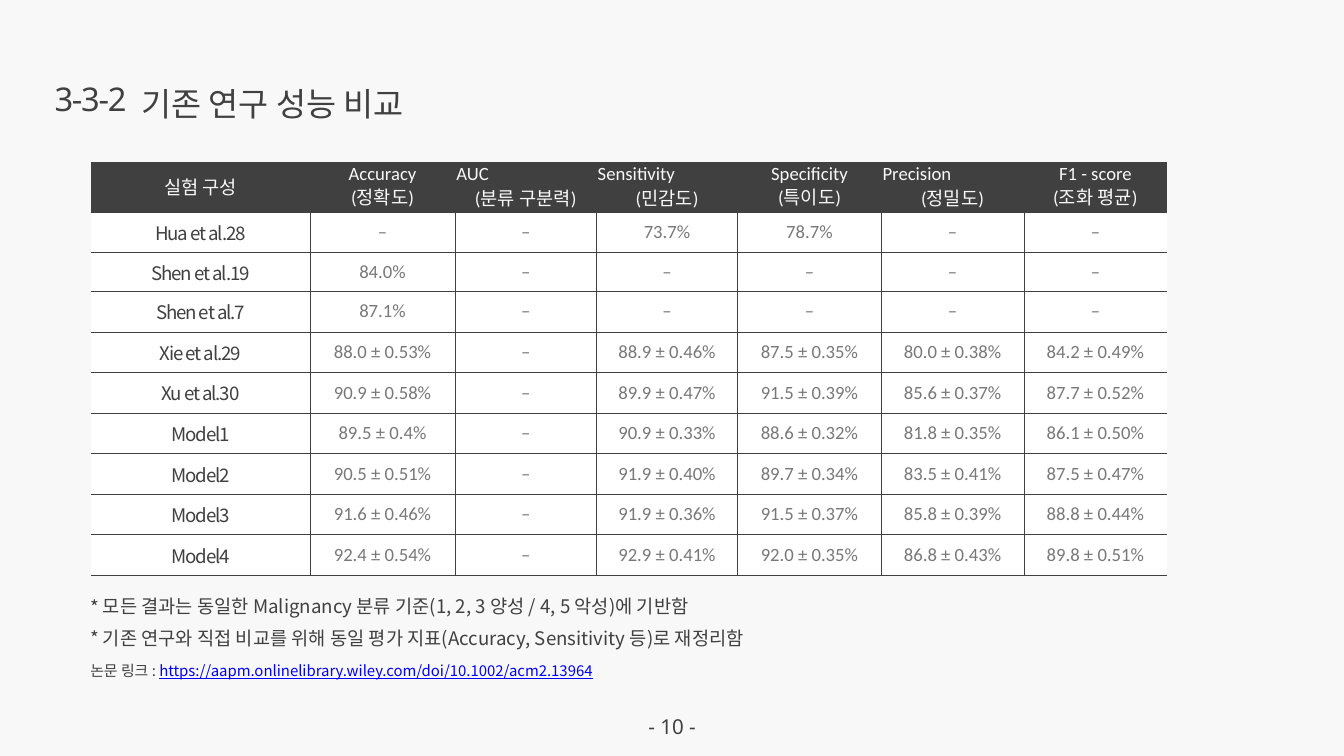
import pptx
import pptx.util
import pptx.dml.color
import pptx.enum.text
import pptx.oxml.ns
from lxml import etree

PX = 9525  # EMU per px, 96 px to the inch
INK = pptx.dml.color.RGBColor(0x40, 0x40, 0x40)
GREY = pptx.dml.color.RGBColor(0x78, 0x78, 0x78)
PAPER = pptx.dml.color.RGBColor(0xF8, 0xF8, 0xF8)
WHITE = pptx.dml.color.RGBColor(0xFF, 0xFF, 0xFF)
BLUE = pptx.dml.color.RGBColor(0x00, 0x00, 0xFF)
KOREAN, SANS, CALIBRI = "Noto Sans CJK KR", "Noto Sans", "Calibri"
LEFT = pptx.enum.text.PP_ALIGN.LEFT
CENTER = pptx.enum.text.PP_ALIGN.CENTER
MIDDLE = pptx.enum.text.MSO_ANCHOR.MIDDLE
TOP = pptx.enum.text.MSO_ANCHOR.TOP
qn = pptx.oxml.ns.qn


def write(p, text, size=20, font=KOREAN, color=INK, align=LEFT, line=1.0,
          spacing=0, underline=None):
    p.alignment, p.line_spacing = align, line
    p.space_before = pptx.util.Pt(0)
    r = p.add_run()
    r.text = text
    r.font.size = pptx.util.Pt(size)
    r.font.name = font
    r.font.color.rgb = color
    r.font.underline = underline
    rPr = r.font._element
    rPr.set("spc", str(round(spacing * 100)))
    etree.SubElement(rPr, qn("a:ea"), typeface=KOREAN)


def place(sp, x, y, w, h, anchor=MIDDLE):
    sp.left, sp.top, sp.width, sp.height = x * PX, y * PX, w * PX, h * PX
    tf = sp.text_frame
    tf.word_wrap = True
    tf.auto_size = pptx.enum.text.MSO_AUTO_SIZE.NONE
    tf.vertical_anchor = anchor
    tf.margin_left = tf.margin_right = tf.margin_top = tf.margin_bottom = 0
    return tf


prs = pptx.Presentation()
prs.slide_width, prs.slide_height = 1920 * PX, 1080 * PX
s = prs.slides.add_slide(prs.slide_layouts[1])
s.background.fill.solid()
s.background.fill.fore_color.rgb = PAPER

# Title and section number
tf = place(s.shapes.title, 202, 112, 1077, 72)
write(tf.paragraphs[0], "기존 연구 성능 비교", size=35)
tf = place(s.shapes.add_textbox(0, 0, 0, 0), 78, 117, 122, 56)
write(tf.paragraphs[0], "3-3-2", size=35, font=SANS, line=0.83, spacing=-1.4)

# Results table
HEADERS = ["실험 구성", "Accuracy\n(정확도)", "AUC\n(분류 구분력)", "Sensitivity\n(민감도)",
           "Specificity\n(특이도)", "Precision\n(정밀도)", "F1 - score\n(조화 평균)"]
LEFT_HEADERS = ("AUC", "Sensitivity", "Precision")
RESULTS = [
    ["Hua et al.28", "–", "–", "73.7%", "78.7%", "–", "–"],
    ["Shen et al.19", "84.0%", "–", "–", "–", "–", "–"],
    ["Shen et al.7", "87.1%", "–", "–", "–", "–", "–"],
    ["Xie et al.29", "88.0 ± 0.53%", "–", "88.9 ± 0.46%", "87.5 ± 0.35%", "80.0 ± 0.38%", "84.2 ± 0.49%"],
    ["Xu et al.30", "90.9 ± 0.58%", "–", "89.9 ± 0.47%", "91.5 ± 0.39%", "85.6 ± 0.37%", "87.7 ± 0.52%"],
    ["Model1", "89.5 ± 0.4%", "–", "90.9 ± 0.33%", "88.6 ± 0.32%", "81.8 ± 0.35%", "86.1 ± 0.50%"],
    ["Model2", "90.5 ± 0.51%", "–", "91.9 ± 0.40%", "89.7 ± 0.34%", "83.5 ± 0.41%", "87.5 ± 0.47%"],
    ["Model3", "91.6 ± 0.46%", "–", "91.9 ± 0.36%", "91.5 ± 0.37%", "85.8 ± 0.39%", "88.8 ± 0.44%"],
    ["Model4", "92.4 ± 0.54%", "–", "92.9 ± 0.41%", "92.0 ± 0.35%", "86.8 ± 0.43%", "89.8 ± 0.51%"],
]
rows = [HEADERS] + RESULTS
widths = [313, 207, 202, 202, 205, 204, 204]
heights = [66, 58, 55] + [58] * 7
frame = s.shapes.add_table(len(rows), len(widths), 130 * PX, 231 * PX,
                           sum(widths) * PX, sum(heights) * PX)
table = frame.table
table.first_row = table.horz_banding = False
# The built-in style without fills or grid
table._tbl.tblPr.find(qn("a:tableStyleId")).text = "{2D5ABB26-0587-4C30-8999-92F81FD0307C}"
for column, width in zip(table.columns, widths):
    column.width = width * PX
for row, height in zip(table.rows, heights):
    row.height = height * PX

for i, values in enumerate(rows):
    for j, value in enumerate(values):
        cell = table.cell(i, j)
        cell.vertical_anchor = MIDDLE
        cell.margin_left = cell.margin_right = cell.margin_top = cell.margin_bottom = 2 * PX

        # Inner borders and a bottom line; the outer sides stay open
        tcPr = cell._tc.get_or_add_tcPr()
        borders = {"L": j > 0, "R": j < len(widths) - 1, "T": i > 0, "B": True}
        for side, shown in borders.items():
            if shown:
                ln = etree.SubElement(tcPr, qn("a:ln" + side), w="12700")
                fill = etree.SubElement(ln, qn("a:solidFill"))
                etree.SubElement(fill, qn("a:srgbClr"), val=str(INK))
        cell.fill.solid()
        cell.fill.fore_color.rgb = WHITE if i else INK

        tf = cell.text_frame
        for n, text in enumerate(value.split("\n")):
            p = tf.add_paragraph() if n else tf.paragraphs[0]
            if i and j == 0:
                write(p, text, align=CENTER, spacing=-1.2)
            elif text in LEFT_HEADERS:
                write(p, text, font=CALIBRI, color=PAPER)
            else:
                write(p, text, font=CALIBRI, color=GREY if i else PAPER, align=CENTER, line=0.92)

# Notes under the table
NOTES = [
    ("모든 결과는 동일한 Malignancy 분류 기준(1, 2, 3 양성 / 4, 5 악성)에 기반함", 1.0),
    ("기존 연구와 직접 비교를 위해 동일 평가 지표(Accuracy, Sensitivity 등)로 재정리함", 1.4),
]
tf = place(s.placeholders[1], 129, 850, 1690, 132, anchor=TOP)
for n, (text, line) in enumerate(NOTES):
    p = tf.add_paragraph() if n else tf.paragraphs[0]
    pPr = p._p.get_or_add_pPr()
    pPr.set("marL", str(18 * PX))
    pPr.set("indent", str(-18 * PX))
    etree.SubElement(pPr, qn("a:buFont"), typeface=KOREAN)
    etree.SubElement(pPr, qn("a:buChar"), char="*")
    write(p, text, line=line)

# Paper address
p = tf.add_paragraph()
pPr = p._p.get_or_add_pPr()
pPr.set("marL", "0")
pPr.set("indent", "0")
etree.SubElement(pPr, qn("a:buNone"))
write(p, "논문 링크 : ", size=16, line=1.7)
write(p, "https://aapm.onlinelibrary.wiley.com/doi/10.1002/acm2.13964",
      size=16, color=BLUE, line=1.7, underline=True)

# Page number
tf = place(s.shapes.add_textbox(0, 0, 0, 0), 802, 1018, 316, 40)
write(tf.paragraphs[0], "- 10 -", size=22, font=SANS, align=CENTER)

prs.save("out.pptx")
